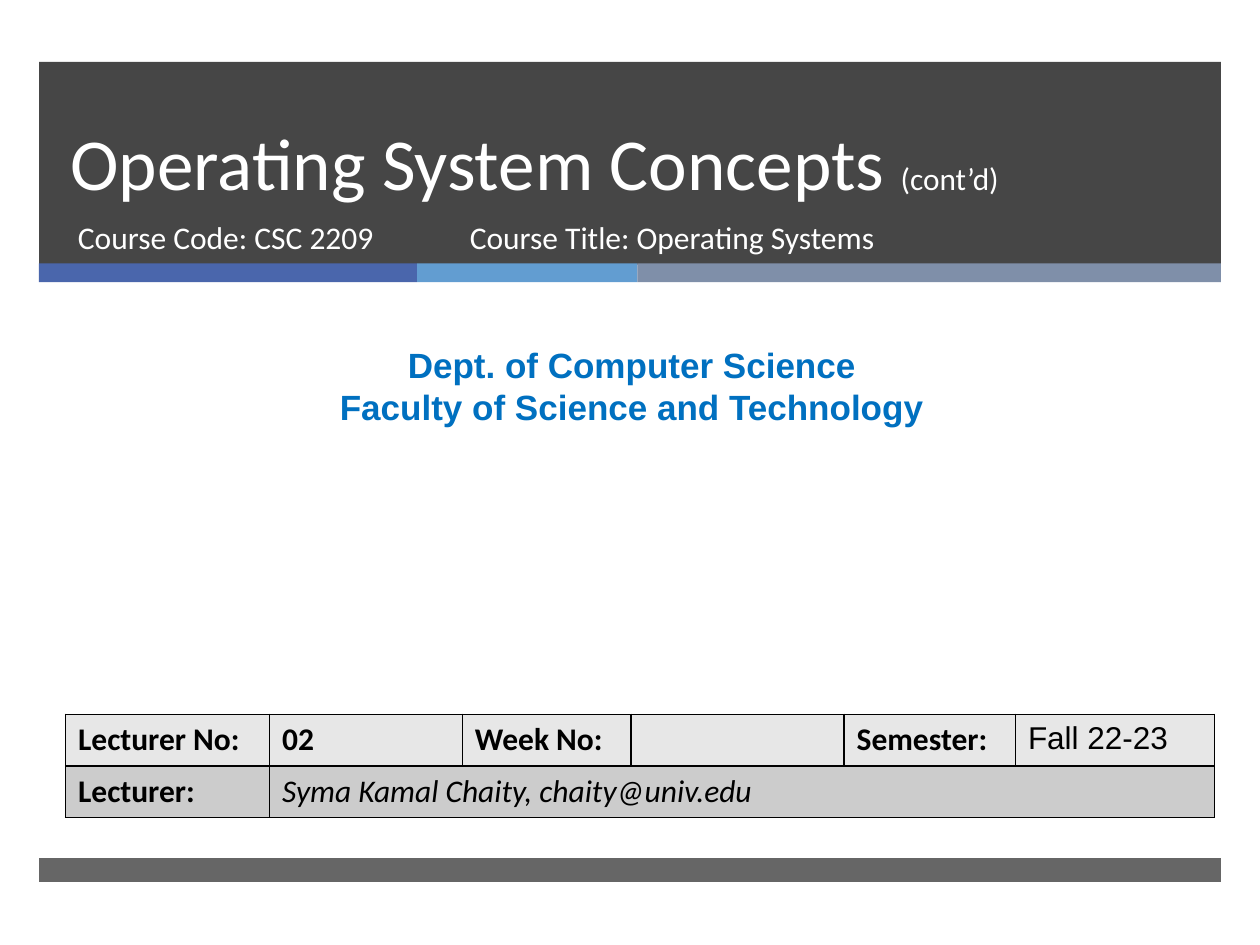
from lxml import etree
from pptx import Presentation
from pptx.dml.color import RGBColor
from pptx.enum.shapes import MSO_SHAPE
from pptx.enum.text import MSO_ANCHOR, PP_ALIGN
from pptx.oxml.ns import qn
from pptx.util import Inches, Pt

RECT = MSO_SHAPE.RECTANGLE
TOP, BOTTOM = MSO_ANCHOR.TOP, MSO_ANCHOR.BOTTOM
LEFT, CENTER = PP_ALIGN.LEFT, PP_ALIGN.CENTER

COLORS = {
    "dark": "262626",
    "blue": "4A66AC",
    "sky": "629DD1",
    "slate": "7F8FA9",
    "white": "FFFFFF",
    "black": "000000",
    "dept": "0070C0",
    "row_light": "E7E7E7",
    "row_dark": "CCCCCC",
}
BAND_X, BAND_W = 0.31, 9.38
STRIPES = [("blue", 3), ("sky", 1.75), ("slate", 4.63)]
WHITE_TEXT = {"name": "Calibri", "size": Pt(18), "color": "white"}
DEPT_TEXT = {"name": "Arial", "size": Pt(20), "bold": True, "color": "dept"}
LABEL = {"name": "Calibri", "size": Pt(18), "bold": True, "color": "black"}
PLAIN = {**LABEL, "name": "Arial", "bold": False}
ITALIC = {**LABEL, "bold": False, "italic": True}
COLUMNS = [1.62, 1.53, 1.34, 1.69, 1.36, 1.58]
ROW_H = 0.41
ROWS = [
    ("row_light", [("Lecturer No:", LABEL), ("02", LABEL), ("Week No:", LABEL),
                   ("", LABEL), ("Semester:", LABEL), ("Fall 22-23", PLAIN)]),
    ("row_dark", [("Lecturer:", LABEL),
                  ("Syma Kamal Chaity, chaity@univ.edu", ITALIC)]),
]


def rgb(name):
    return RGBColor.from_string(COLORS[name])


def add_run(p, text, fmt):
    r = p.add_run()
    r.text = text
    for key, value in fmt.items():
        if key == "color":
            r.font.color.rgb = rgb(value)
        else:
            setattr(r.font, key, value)


def add_bar(slide, x, y, w, h, color, opacity=100):
    sp = slide.shapes.add_shape(RECT, Inches(x), Inches(y), Inches(w), Inches(h))
    sp.shadow.inherit = False
    sp.fill.solid()
    sp.fill.fore_color.rgb = rgb(color)
    sp.line.fill.background()
    if opacity < 100:
        clr = sp._element.spPr.find(qn("a:solidFill"))[0]
        etree.SubElement(clr, qn("a:alpha"), val=str(opacity * 1000))


def add_text(slide, x, y, w, h, lines, fmt, align=LEFT):
    sp = slide.shapes.add_textbox(Inches(x), Inches(y), Inches(w), Inches(h))
    tf = sp.text_frame
    tf.word_wrap = True
    for i, line in enumerate(lines):
        p = tf.add_paragraph() if i else tf.paragraphs[0]
        p.alignment = align
        add_run(p, line, fmt)


def set_title(slide):
    sp = slide.shapes.title
    slide.shapes._spTree.append(sp._element)
    sp.left, sp.top = Inches(0.46), Inches(0.49)
    sp.width, sp.height = Inches(8.54), Inches(1.19)
    tf = sp.text_frame
    tf.word_wrap = True
    tf.vertical_anchor = BOTTOM
    p = tf.paragraphs[0]
    p.alignment = LEFT
    p.line_spacing = Pt(46)
    add_run(p, "Operating System Concepts ", {**WHITE_TEXT, "size": Pt(41.8)})
    add_run(p, "(cont’d)", {**WHITE_TEXT, "size": Pt(17.9)})


def set_borders(cell):
    tcPr = cell._tc.get_or_add_tcPr()
    for i, side in enumerate(("lnL", "lnR", "lnT", "lnB")):
        ln = etree.Element(qn(f"a:{side}"), w=str(Pt(0.96)))
        fill = etree.SubElement(ln, qn("a:solidFill"))
        etree.SubElement(fill, qn("a:srgbClr"), val=COLORS["black"])
        tcPr.insert(i, ln)


def add_info_table(slide):
    table = slide.shapes.add_table(
        len(ROWS), len(COLUMNS), Inches(0.52), Inches(5.67),
        Inches(sum(COLUMNS)), Inches(ROW_H * len(ROWS))).table
    for col, w in zip(table.columns, COLUMNS):
        col.width = Inches(w)
    table.cell(1, 1).merge(table.cell(1, 5))
    for i, (color, texts) in enumerate(ROWS):
        table.rows[i].height = Inches(ROW_H)
        for cell in table.rows[i].cells:
            cell.fill.solid()
            cell.fill.fore_color.rgb = rgb(color)
            cell.vertical_anchor = TOP
            set_borders(cell)
        for j, (text, fmt) in enumerate(texts):
            if text:
                add_run(table.cell(i, j).text_frame.paragraphs[0], text, fmt)


def main():
    prs = Presentation()
    prs.slide_width, prs.slide_height = Inches(10), Inches(7.5)
    slide = prs.slides.add_slide(prs.slide_layouts[5])
    add_bar(slide, BAND_X, 0.49, BAND_W, 1.61, "dark", 85)
    x = BAND_X
    for color, w in STRIPES:
        add_bar(slide, x, 2.09, w, 0.15, color)
        x += w
    add_bar(slide, BAND_X, 6.81, BAND_W, 0.19, "dark", 70)
    set_title(slide)
    add_text(slide, 0.52, 1.68, 3.05, 0.53, ["Course Code: CSC 2209"], WHITE_TEXT)
    add_text(slide, 0.08, 2.68, 9.87, 0.77,
             ["Dept. of Computer Science", "Faculty of Science and Technology"],
             DEPT_TEXT, CENTER)
    add_info_table(slide)
    add_text(slide, 3.63, 1.68, 4.55, 0.53,
             ["Course Title: Operating Systems"], WHITE_TEXT)
    prs.save("out.pptx")


if __name__ == "__main__":
    main()
